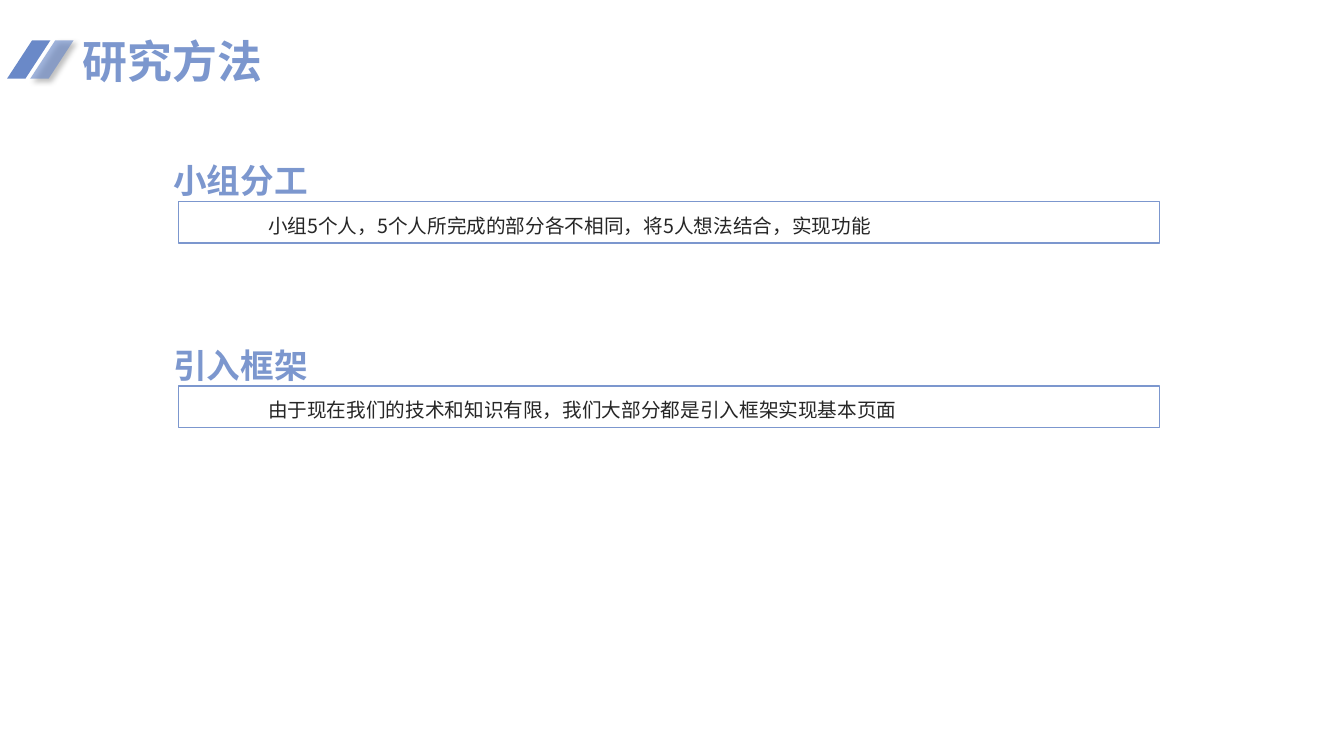
from lxml import etree
from pptx import Presentation, util as u
from pptx.dml.color import RGBColor
from pptx.enum import shapes, text
from pptx.oxml.ns import qn

WIDTH, HEIGHT = 13.33, 7.5
FONT = "Noto Sans CJK SC"
BLUE, DEEP_BLUE, INK = "7C97CE", "6A89C8", "262626"

# Section grid
LEFT, TOP, ROW_STEP = 1.62, 1.54, 1.83
HEADING_W, HEADING_H = 2.11, 0.46
BOX_INDENT, BOX_W, BOX_H = 0.15, 9.73, 0.41

SECTIONS = [
    ("小组分工", "小组5个人，5个人所完成的部分各不相同，将5人想法结合，实现功能"),
    ("引入框架", "由于现在我们的技术和知识有限，我们大部分都是引入框架实现基本页面"),
]


def color(value):
    return RGBColor.from_string(value)


def inches(*values):
    return [u.Inches(v) for v in values]


def write(sp, content, size, fill, bold=False, indent=0, spacing=None,
          margins=(0.1, 0.05), wrap=True, grow=False):
    """Put one formatted, left-aligned paragraph into a shape."""
    tf = sp.text_frame
    tf.word_wrap = wrap
    tf.vertical_anchor = text.MSO_ANCHOR.TOP
    if grow:
        tf.auto_size = text.MSO_AUTO_SIZE.SHAPE_TO_FIT_TEXT
    tf.margin_left = tf.margin_right = u.Inches(margins[0])
    tf.margin_top = tf.margin_bottom = u.Inches(margins[1])
    p = tf.paragraphs[0]
    p.alignment = text.PP_ALIGN.LEFT
    if spacing:
        p.line_spacing = spacing
    if indent:
        p._p.get_or_add_pPr().set("indent", str(u.Inches(indent)))
    r = p.add_run()
    r.text = content
    r.font.size = u.Pt(size)
    r.font.bold = bold
    r.font.color.rgb = color(fill)
    r.font.name = FONT
    # East Asian typeface
    r.font._element.find(qn("a:latin")).addnext(
        etree.Element(qn("a:ea"), typeface=FONT))


def add_text(s, box, content, **style):
    write(s.shapes.add_textbox(*inches(*box)), content, **style)


def add_slash(s, left):
    sp = s.shapes.add_shape(shapes.MSO_SHAPE.PARALLELOGRAM,
                            *inches(left, 0.4, 0.43, 0.38))
    sp.adjustments[0] = 0.652
    sp.rotation = 180
    sp.shadow.inherit = False
    sp.fill.solid()
    sp.fill.fore_color.rgb = color(DEEP_BLUE)
    sp.line.fill.background()
    return sp


def set_alpha(clr, percent):
    etree.SubElement(clr, qn("a:alpha"), val=str(percent * 1000))


def soften(sp):
    """Make a slash translucent and give it a drop shadow."""
    props = sp._element.spPr
    set_alpha(props.find(qn("a:solidFill"))[0], 63)
    shadow = etree.SubElement(
        props.find(qn("a:effectLst")), qn("a:outerShdw"),
        blurRad=str(u.Pt(4)), dist=str(u.Pt(3)), dir=str(45 * 60000),
        algn="tl", rotWithShape="0")
    set_alpha(etree.SubElement(shadow, qn("a:srgbClr"), val="000000"), 40)


def add_section(s, row, heading, body):
    top = TOP + row * ROW_STEP
    sp = s.shapes.add_shape(
        shapes.MSO_SHAPE.RECTANGLE,
        *inches(LEFT + BOX_INDENT, top + HEADING_H, BOX_W, BOX_H))
    sp.shadow.inherit = False
    sp.fill.background()
    sp.line.color.rgb = color(BLUE)
    sp.line.width = u.Pt(1)
    write(sp, body, size=14, fill=INK, indent=0.79, spacing=1.3, grow=True)
    add_text(s, (LEFT, top, HEADING_W, HEADING_H), heading,
             size=24, fill=BLUE, bold=True)


def main():
    prs = Presentation()
    prs.slide_width, prs.slide_height = inches(WIDTH, HEIGHT)
    s = prs.slides.add_slide(prs.slide_layouts[6])

    # Title with its two slashes
    soften(add_slash(s, 0.3))
    add_slash(s, 0.07)
    add_text(s, (0.69, 0.26, 2.05, 0.67), "研究方法", size=32, fill=BLUE,
             bold=True, margins=(0.13, 0.07), wrap=False, grow=True)

    # Sections
    for row, (heading, body) in enumerate(SECTIONS):
        add_section(s, row, heading, body)

    prs.save("out.pptx")


if __name__ == "__main__":
    main()
